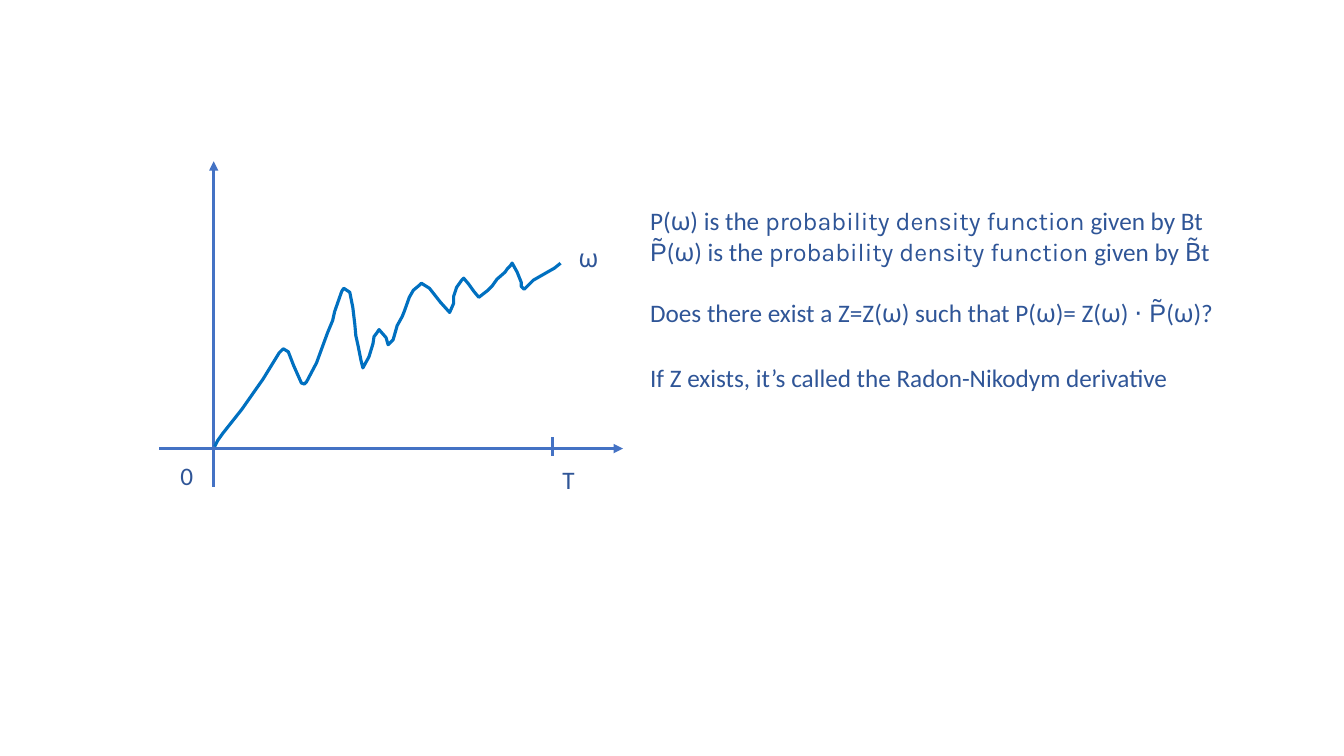
from lxml.etree import SubElement
from pptx import Presentation
from pptx.dml.color import RGBColor
from pptx.enum.shapes import MSO_CONNECTOR as Connector
from pptx.enum.text import MSO_AUTO_SIZE as AutoSize
from pptx.oxml.ns import qn
from pptx.util import Pt

PX = 9144
THEME = {
    "axis": RGBColor.from_string("4472C4"),
    "path_line": RGBColor.from_string("0070C0"),
    "text": RGBColor.from_string("2F5597"),
    "size": Pt(18),
    "stroke": Pt(2.25),
    "body": "Calibri",
    "greek": "Karla",
    "accented": "Arial",
}
BODY, GREEK, ACCENTED = THEME["body"], THEME["greek"], THEME["accented"]

deck = Presentation()
deck.slide_width, deck.slide_height = 1333 * PX, 750 * PX
page = deck.slides.add_slide(deck.slide_layouts[6])


def add_text(paragraphs, at, wrap=False, gaps=()):
    box = page.shapes.add_textbox(*(length * PX for length in at))
    frame = box.text_frame
    frame.word_wrap = wrap
    frame.auto_size = AutoSize.SHAPE_TO_FIT_TEXT
    for index, spans in enumerate(paragraphs):
        para = frame.add_paragraph() if index else frame.paragraphs[0]
        if index in gaps:
            para.space_before = Pt(22)
        for text, font in spans:
            span = para.add_run()
            span.text = text
            span.font.name = font
            span.font.size = THEME["size"]
            span.font.color.rgb = THEME["text"]


strokes = [
    ((158, 445), (618, 445), True),
    ((212, 483), (212, 160), True),
    ((548, 434), (548, 452), False),
]
for start, end, arrow in strokes:
    axis = page.shapes.add_connector(
        Connector.STRAIGHT, *(length * PX for length in start + end))
    axis.line.color.rgb = THEME["axis"]
    axis.line.width = THEME["stroke"]
    if arrow:
        SubElement(axis.line._get_or_add_ln(), qn("a:tailEnd"), type="triangle")
    SubElement(axis._element.spPr, qn("a:effectLst"))

labels = [
    ("T", BODY, (548, 456, 32, 40)),
    ("0", BODY, (169, 452, 33, 40)),
    ("ω", GREEK, (564, 236, 38, 40)),
]
for text, font, at in labels:
    add_text([[(text, font)]], at=at)

omega = ("ω", GREEK)
density = ("probability density function", GREEK)
add_text(
    [
        [("P(", BODY), omega, (") is the ", BODY), density, (" given by Bt", BODY)],
        [("P̃", ACCENTED), ("(", BODY), omega, (") is the ", BODY), density,
         (" given by B̃t", BODY)],
        [("Does there exist a Z=Z(", BODY), omega, (") such that P(", BODY), omega,
         (")= Z(", BODY), omega, (")", BODY), (" ⋅", GREEK), (" P̃", ACCENTED),
         ("(", BODY), omega, (")?", BODY)],
    ],
    at=(635, 199, 582, 131),
    gaps=(2,),
)

sample_path = [
    (213, 443), (216, 437), (221, 430), (240, 406), (261, 376), (277, 350),
    (281, 346), (286, 349), (291, 362), (295, 371), (299, 380), (302, 381),
    (304, 379), (314, 360), (325, 330), (330, 318), (332, 309), (339, 289),
    (341, 286), (347, 290), (350, 305), (352, 322), (353, 333), (355, 342),
    (358, 357), (360, 365), (366, 354), (370, 341), (371, 334), (374, 330),
    (376, 327), (383, 335), (385, 342), (390, 337), (394, 323), (399, 314),
    (401, 309), (406, 295), (410, 288), (416, 283), (418, 281), (426, 286),
    (437, 300), (446, 310), (450, 301), (450, 294), (453, 285), (458, 278),
    (460, 276), (465, 282), (470, 289), (475, 295), (484, 288), (488, 284),
    (493, 277), (501, 270), (503, 267), (506, 264), (508, 261), (513, 270),
    (517, 280), (517, 284), (520, 287), (529, 278), (550, 266), (555, 262),
    (556, 261),
]
builder = page.shapes.build_freeform(*sample_path[0], scale=PX)
builder.add_line_segments(sample_path[1:], close=False)
curve = builder.convert_to_shape()
curve.shadow.inherit = False
curve.fill.background()
curve.line.color.rgb = THEME["path_line"]
curve.line.width = THEME["stroke"]

add_text(
    [[("If Z exists, it’s called the Radon-Nikodym derivative", BODY)]],
    at=(635, 355, 667, 40),
    wrap=True,
)

deck.save("out.pptx")
